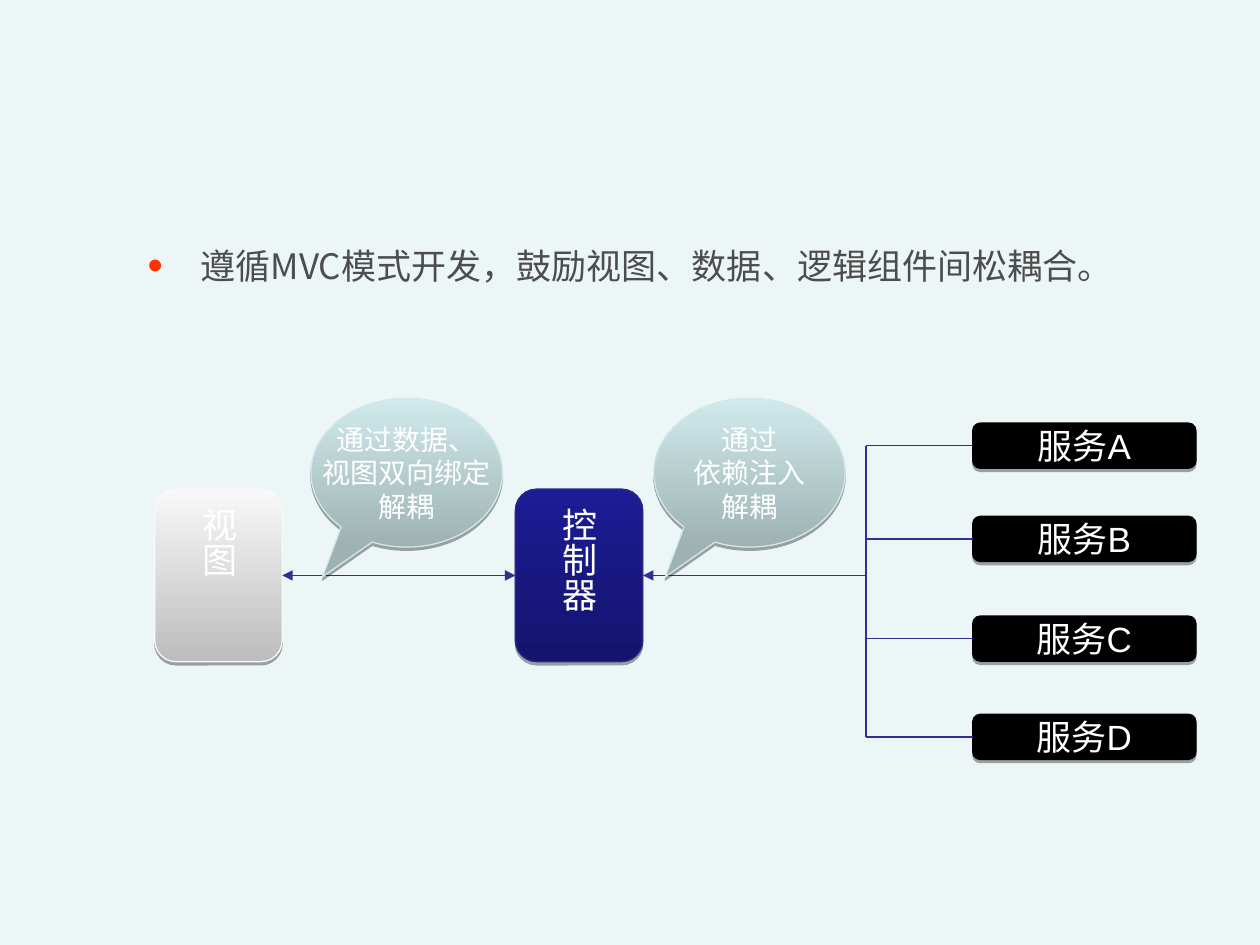
from lxml.etree import SubElement as Sub
from pptx import Presentation
from pptx.dml.color import RGBColor
from pptx.enum.shapes import MSO_CONNECTOR as Conn, MSO_SHAPE as Kind
from pptx.enum.text import MSO_ANCHOR as Anchor, MSO_AUTO_SIZE as Fit, PP_ALIGN as Align
from pptx.oxml.ns import qn
from pptx.util import Cm, Pt

# Content
POINT = "遵循MVC模式开发，鼓励视图、数据、逻辑组件间松耦合。"
# text, left, fill from bottom to top, line
PARTS = [
    ("视图", 3.12, ("BDBDBD", "F8F8F8"), "F9F9F9"),
    ("控制器", 10.39, ("14146E", "1C1C95"), "2A2A88"),
]
# text, top
SERVICES = [("服务A", 8.53), ("服务B", 10.41), ("服务C", 12.42), ("服务D", 14.4)]
# text, left
NOTES = [("通过\n依赖注入\n解耦", 13.18), ("通过数据、\n视图双向绑定\n解耦", 6.27)]

# Look and layout, in centimetres
BACK, GREY, RED, WHITE, BLACK, BLUE = "ECF6F6", "4D4D4D", "FF3300", "FFFFFF", "000000", "2F2F98"
MIST, RIM = ("9EB2B3", "D0EAEB"), "D4E8E9"
LATIN, HAN = "Arial", "Noto Sans CJK SC"
PART_TOP, PART_W, PART_H = 9.86, 2.57, 3.48
SERV_X, SERV_W, SERV_H = 19.61, 4.5, 0.91
NOTE_TOP, NOTE_W, NOTE_H = 8.03, 3.86, 3.0
RAIL = 17.46
MID = PART_TOP + PART_H / 2


def paint(color, code):
    color.rgb = RGBColor.from_string(code)


def node(parent, tag, **attrs):
    return Sub(parent, qn(tag), attrs)


def style(para, size, code, face):
    for run in para.runs:
        run.font.size = Pt(size)
        run.font.name = face
        paint(run.font.color, code)
        node(run.font._element, "a:ea", typeface=HAN)


def block(kind, text, left, top, width, height, fill, edge, size=20):
    shape = slide.shapes.add_shape(kind, Cm(left), Cm(top), Cm(width), Cm(height))
    if isinstance(fill, tuple):
        shape.fill.gradient()
        shape.fill.gradient_angle = 90
        for stop, code, place in zip(shape.fill.gradient_stops, fill, (0, 1)):
            paint(stop.color, code)
            stop.position = place
    else:
        shape.fill.solid()
        paint(shape.fill.fore_color, fill)
    paint(shape.line.color, edge)
    shape.line.width = Pt(0.75)

    # Soft shadow just below the shape
    shape.shadow.inherit = False
    glow = node(shape._element.spPr.find(qn("a:effectLst")), "a:outerShdw",
                blurRad="0", dist=str(Pt(1.8)), dir="5400000", rotWithShape="0")
    node(node(glow, "a:srgbClr", val=BLACK), "a:alpha", val="35000")

    frame = shape.text_frame
    frame.word_wrap = False
    frame.vertical_anchor = Anchor.MIDDLE
    frame.text = text
    for para in frame.paragraphs:
        para.alignment = Align.CENTER
        style(para, size, WHITE, LATIN)
    return shape


def link(x1, y1, x2, y2, start=None, end=None, heads=()):
    line = slide.shapes.add_connector(Conn.STRAIGHT, Cm(x1), Cm(y1), Cm(x2), Cm(y2))
    if start:
        line.begin_connect(*start)
    if end:
        line.end_connect(*end)
    paint(line.line.color, BLUE)
    line.line.width = Pt(0.75)
    for tag in heads:
        node(line.line._get_or_add_ln(), tag, type="triangle")
    node(line._element.spPr, "a:effectLst")


deck = Presentation()
deck.slide_width, deck.slide_height = Cm(25.4), Cm(19.05)
slide = deck.slides.add_slide(deck.slide_layouts[1])
slide.background.fill.solid()
paint(slide.background.fill.fore_color, BACK)
title = slide.shapes.title._element
title.getparent().remove(title)

# Bullet point
body = slide.placeholders[1]
body.left, body.top, body.width, body.height = Cm(2.72), Cm(4.72), Cm(21.59), Cm(1.19)
body.text_frame.auto_size = Fit.NONE
body.text_frame.text = POINT
para = body.text_frame.paragraphs[0]
para.line_spacing, para.space_before = 1.1, Pt(0)
props = para._p.get_or_add_pPr()
props.set("marL", str(Cm(1.07)))
props.set("indent", str(-Cm(1.07)))
node(node(props, "a:buClr"), "a:srgbClr", val=RED)
node(props, "a:buSzPct", val="125000")
node(props, "a:buFont", typeface=LATIN)
node(props, "a:buChar", char="•")
style(para, 20, GREY, HAN)

# View and controller, with upright text
boxes = []
for text, left, fill, edge in PARTS:
    box = block(Kind.ROUNDED_RECTANGLE, text, left, PART_TOP, PART_W, PART_H, fill, edge)
    frame = box.text_frame
    frame.margin_left = frame.margin_right = Cm(0.13)
    frame.margin_top = frame.margin_bottom = Cm(0.25)
    frame._txBody.bodyPr.set("vert", "eaVert")
    boxes.append(box)
view, control = boxes

# Services, each with a branch from the rail
mids = []
for text, top in SERVICES:
    box = block(Kind.FLOWCHART_ALTERNATE_PROCESS, text, SERV_X, top, SERV_W, SERV_H, BLACK, BLACK)
    mid = top + SERV_H / 2
    link(RAIL, mid, SERV_X, mid, end=(box, 1))
    mids.append(mid)

# Rail and two-way flow
link(RAIL, mids[0], RAIL, mids[-1])
link(RAIL, MID, PARTS[1][1] + PART_W, MID, end=(control, 3), heads=["a:tailEnd"])
link(PARTS[0][1] + PART_W, MID, PARTS[1][1], MID, (view, 3), (control, 1),
     ["a:headEnd", "a:tailEnd"])

# Callouts
for text, left in NOTES:
    note = block(Kind.OVAL_CALLOUT, text, left, NOTE_TOP, NOTE_W, NOTE_H, MIST, RIM, 16)
    note.adjustments[0], note.adjustments[1] = -0.44, 0.7

deck.save("out.pptx")
